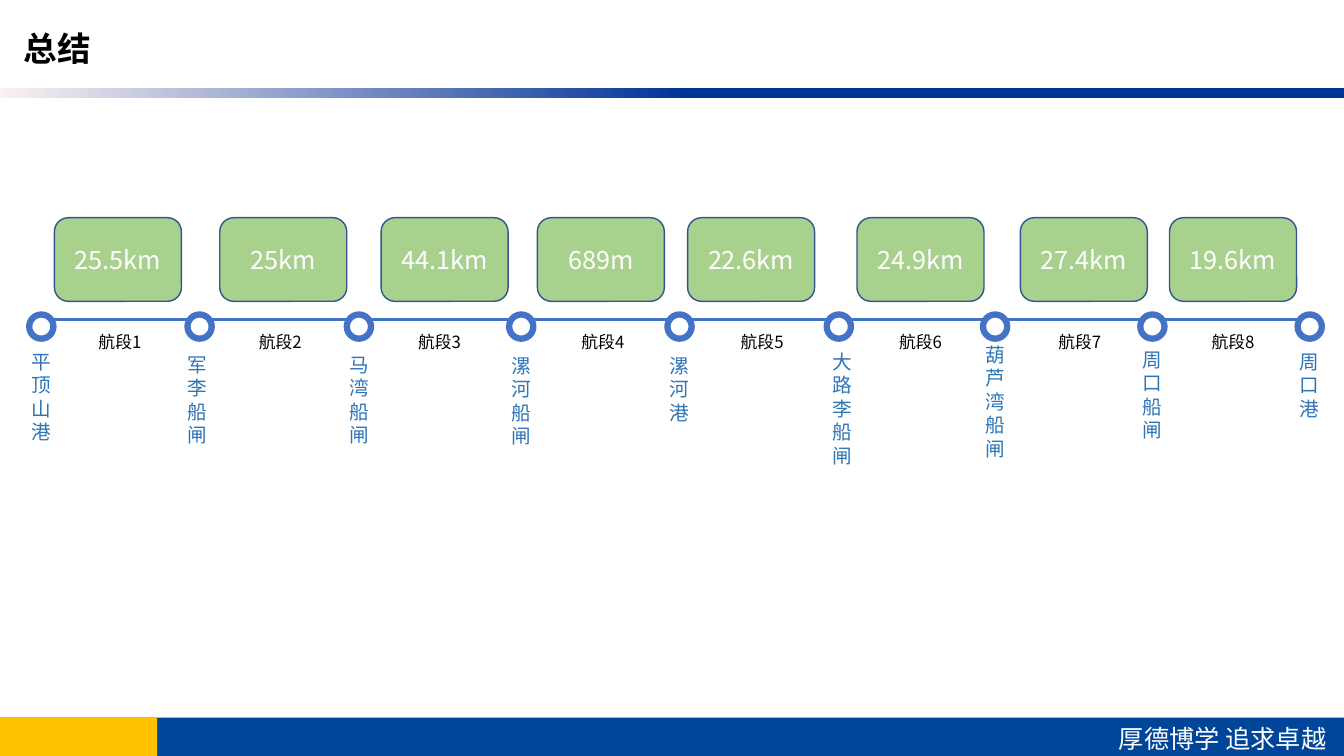
from copy import deepcopy
from dataclasses import dataclass

from lxml import etree
from pptx import Presentation
from pptx.dml.color import RGBColor
from pptx.enum.shapes import MSO_CONNECTOR, MSO_SHAPE
from pptx.enum.text import MSO_ANCHOR, PP_ALIGN
from pptx.oxml.ns import qn
from pptx.util import Inches, Pt

RECT, CARD, KNOT = MSO_SHAPE.RECTANGLE, MSO_SHAPE.ROUNDED_RECTANGLE, MSO_SHAPE.FLOWCHART_CONNECTOR
STRAIGHT = MSO_CONNECTOR.STRAIGHT
LEFT, CENTER = PP_ALIGN.LEFT, PP_ALIGN.CENTER
TOP, MIDDLE = MSO_ANCHOR.TOP, MSO_ANCHOR.MIDDLE

# Content: stations as (name, knot centre, name centre, name top)
TITLE = "总结"
MOTTO = "厚德博学 追求卓越"
STATIONS = [
    ("平顶山港", 0.41, 0.41, 3.42),
    ("军李船闸", 1.98, 1.96, 3.45),
    ("马湾船闸", 3.56, 3.56, 3.45),
    ("漯河船闸", 5.17, 5.17, 3.46),
    ("漯河港", 6.74, 6.74, 3.46),
    ("大路李船闸", 8.32, 8.35, 3.42),
    ("葫芦湾船闸", 9.87, 9.87, 3.35),
    ("周口船闸", 11.43, 11.43, 3.4),
    ("周口港", 12.99, 12.99, 3.42),
]
# Segments as (distance, card left, label centre)
SEGMENTS = [
    ("25.5km", 0.54, 1.19),
    ("25km", 2.18, 2.78),
    ("44.1km", 3.78, 4.36),
    ("689m", 5.33, 5.98),
    ("22.6km", 6.82, 7.56),
    ("24.9km", 8.5, 9.13),
    ("27.4km", 10.12, 10.71),
    ("19.6km", 11.6, 12.23),
]


@dataclass(frozen=True)
class Theme:
    font: str = "Noto Sans CJK SC"
    black: str = "000000"
    white: str = "FFFFFF"
    footer: str = "004698"
    gold: str = "FFC000"
    navy: str = "003399"
    blush: str = "FAF1F2"
    route: str = "4472C4"
    station: str = "2E75B6"
    card: str = "A9D18E"
    card_edge: str = "325491"
    title_size: int = 24
    body_size: int = 18
    station_size: int = 14
    segment_size: int = 12
    leading: float = 1.2


THEME = Theme()

# Layout
WIDTH, HEIGHT = 13.33, 7.5
FOOTER_TOP, FOOTER_H = 7.12, 0.38
CARD_TOP, CARD_W, CARD_H = 2.16, 1.26, 0.83
KNOT_TOP, KNOT_SIZE = 3.12, 0.24
ROUTE_Y = 3.17
NAME_W, INSET = 0.55, 0.05
SEGMENT_TOP, SEGMENT_W, SEGMENT_H = 3.24, 1.2, 0.3


def rgb(value):
    return RGBColor.from_string(value)


def box(left, top, width, height):
    return [Inches(v) for v in (left, top, width, height)]


def write(shape, text, size, color, align=CENTER, anchor=TOP, bold=False, wrap=True, tight=True):
    frame = shape.text_frame
    frame.text = text
    frame_format = {
        "word_wrap": wrap, "vertical_anchor": anchor,
        "margin_left": Inches(0.1), "margin_right": Inches(0.1),
        "margin_top": Inches(INSET), "margin_bottom": Inches(INSET),
    }
    for key, value in frame_format.items():
        setattr(frame, key, value)
    paragraph = frame.paragraphs[0]
    paragraph.alignment = align
    paragraph.space_before = Pt(0)
    if tight:
        paragraph.line_spacing = Pt(size * THEME.leading)
    font = paragraph.runs[0].font
    for key, value in {"name": THEME.font, "size": Pt(size), "bold": bold}.items():
        setattr(font, key, value)
    font.color.rgb = rgb(color)
    east_asian = etree.SubElement(paragraph.runs[0]._r.get_or_add_rPr(), qn("a:ea"))
    east_asian.set("typeface", THEME.font)


def add_text(slide, place, text, size, color, **options):
    write(slide.shapes.add_textbox(*box(*place)), text, size, color, **options)


def add_block(slide, kind, place, fill=None, edge=None, edge_width=1):
    block = slide.shapes.add_shape(kind, *box(*place))
    block.shadow.inherit = False
    if fill:
        block.fill.solid()
        block.fill.fore_color.rgb = rgb(fill)
    else:
        block.fill.background()
    if edge:
        block.line.color.rgb = rgb(edge)
        block.line.width = Pt(edge_width)
    else:
        block.line.fill.background()
    return block


def add_header(slide):
    title = slide.shapes.title
    title.left, title.top, title.width, title.height = box(0.04, 0.23, 1.06, 0.5)
    write(title, TITLE, THEME.title_size, THEME.black, bold=True)
    # Rule that fades out to the left
    rule = add_block(slide, RECT, (0, 0.87, WIDTH, 0.1), THEME.navy)
    rule.fill.gradient()
    rule.fill.gradient_angle = 0
    first_stop = rule._element.spPr.find(".//" + qn("a:gs"))
    first_stop.addnext(deepcopy(first_stop))
    fade = [(0, THEME.blush), (0.51, THEME.navy), (1, THEME.navy)]
    for stop, (position, color) in zip(rule.fill.gradient_stops, fade):
        stop.position = position
        stop.color.rgb = rgb(color)


def add_footer(slide):
    for width, color in ((WIDTH, THEME.footer), (1.56, THEME.gold)):
        add_block(slide, RECT, (0, FOOTER_TOP, width, FOOTER_H), color)
    add_text(slide, (11, FOOTER_TOP + 0.01, WIDTH - 11, FOOTER_H), MOTTO,
             THEME.body_size, THEME.white, align=LEFT, wrap=False)


def add_route(slide):
    # Lines between neighbouring knots
    for (_, start, _, _), (_, end, _, _) in zip(STATIONS, STATIONS[1:]):
        line = slide.shapes.add_connector(
            STRAIGHT, Inches(start + KNOT_SIZE / 2), Inches(ROUTE_Y),
            Inches(end - KNOT_SIZE / 2), Inches(ROUTE_Y))
        line.line.color.rgb = rgb(THEME.route)
        line.line.width = Pt(2.25)
        etree.SubElement(line._element.spPr, qn("a:effectLst"))
    # Knots with station names running down, one character a line
    for name, knot_x, name_x, name_top in STATIONS:
        add_block(slide, KNOT, (knot_x - KNOT_SIZE / 2, KNOT_TOP, KNOT_SIZE, KNOT_SIZE),
                  edge=THEME.route, edge_width=4.5)
        name_h = len(name) * THEME.station_size * THEME.leading / 72 + 2 * INSET
        add_text(slide, (name_x - NAME_W / 2, name_top, NAME_W, name_h), name,
                 THEME.station_size, THEME.station)


def add_segments(slide):
    for number, (distance, card_left, label_x) in enumerate(SEGMENTS, 1):
        add_text(slide, (label_x - SEGMENT_W / 2, SEGMENT_TOP, SEGMENT_W, SEGMENT_H),
                 f"航段{number}", THEME.segment_size, THEME.black)
        card = add_block(slide, CARD, (card_left, CARD_TOP, CARD_W, CARD_H),
                         THEME.card, THEME.card_edge)
        write(card, distance, THEME.body_size, THEME.white, anchor=MIDDLE, tight=False)


def main():
    deck = Presentation()
    deck.slide_width, deck.slide_height = Inches(WIDTH), Inches(HEIGHT)
    slide = deck.slides.add_slide(deck.slide_layouts[5])
    add_header(slide)
    add_footer(slide)
    add_route(slide)
    add_segments(slide)
    deck.save("out.pptx")


if __name__ == "__main__":
    main()
